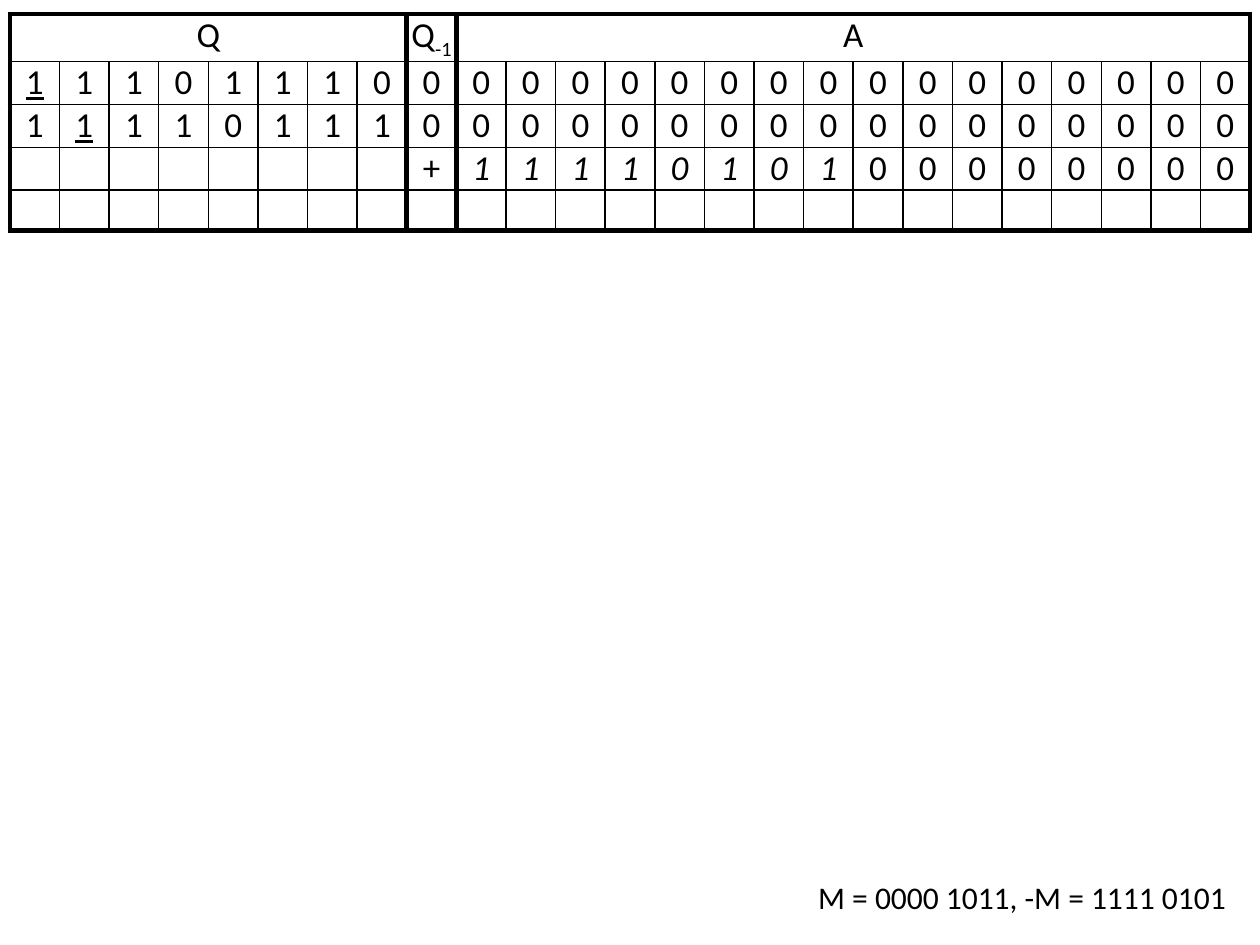
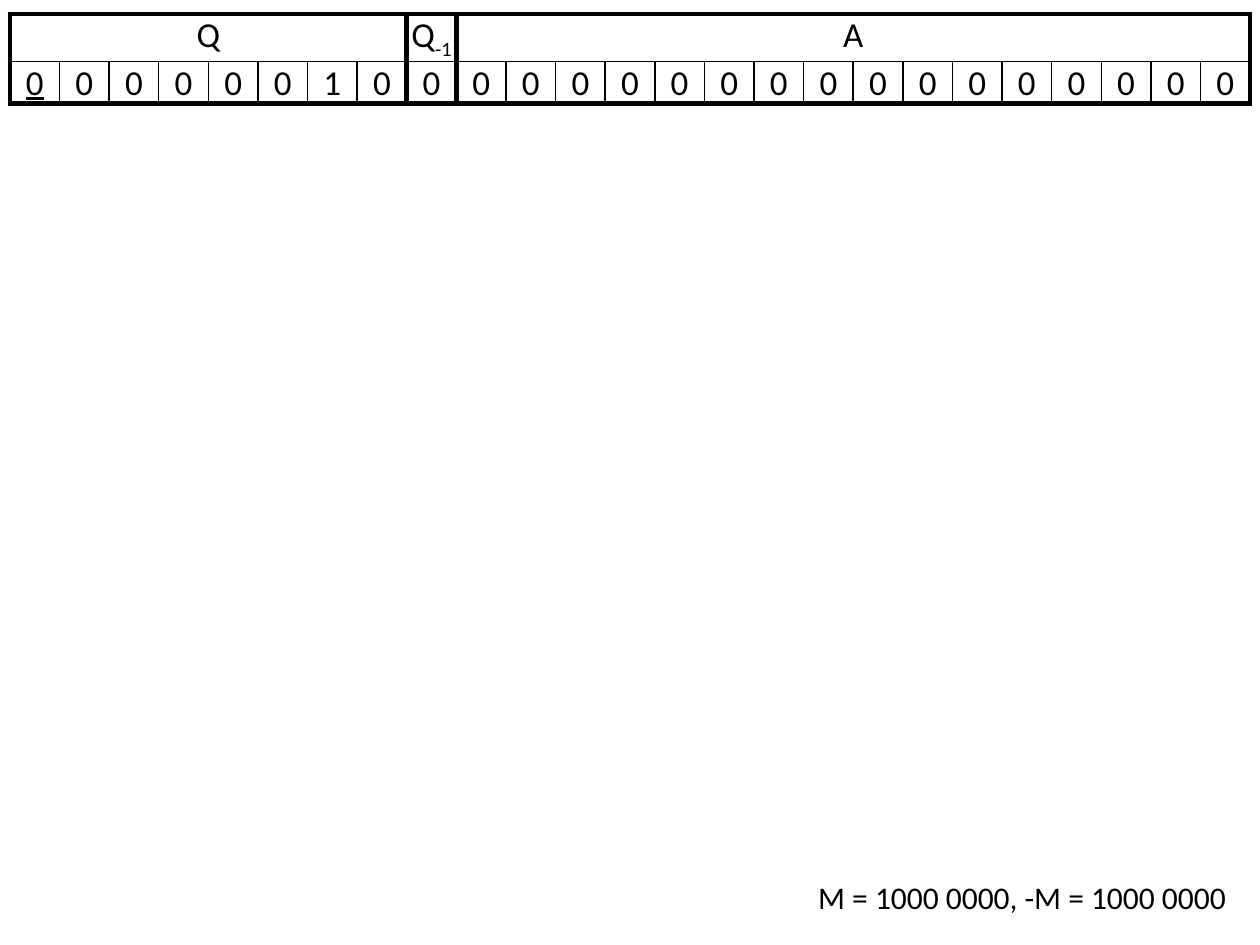
from lxml.etree import SubElement
from pptx import Presentation
from pptx.dml.color import RGBColor
from pptx.enum.text import MSO_AUTO_SIZE as AutoSize, PP_ALIGN as Align
from pptx.oxml.ns import qn
from pptx.util import Cm, Pt

# Register layout: name, subscript, number of bits
REGISTERS = [("Q", "", 8), ("Q", "-1", 1), ("A", "", 16)]
BIT_COUNT = sum(bits for _, _, bits in REGISTERS)


def color(hex_string):
    return RGBColor.from_string(hex_string)


def add_text(paragraph, text, size=20, font="Calibri", ink="000000",
             align=Align.CENTER, underline=False, italic=False, baseline=0):
    paragraph.alignment = align
    run = paragraph.add_run()
    run.text = text
    run.font.name, run.font.size = font, Pt(size)
    run.font.color.rgb = color(ink)
    run.font.bold, run.font.italic, run.font.underline = False, italic, underline
    if baseline:
        run.font._element.set("baseline", str(baseline * 1000))


class Deck:
    ink = "000000"
    thin, thick = 1, 3
    left, top = 0.2, 0.28
    column_width, row_height = 1, 0.81
    frame_row_height = 0.85

    def __init__(self):
        self.presentation = Presentation()
        self.presentation.slide_width = Cm(25.4)
        self.presentation.slide_height = Cm(19.05)
        self.slide = None

    def new_slide(self):
        self.slide = self.presentation.slides.add_slide(
            self.presentation.slide_layouts[6])

    def style_cell(self, cell, left, right, top, bottom):
        """Clear the fill and margins, then draw the four borders."""
        cell.margin_left = cell.margin_right = 0
        cell.margin_top = cell.margin_bottom = 0
        cell.fill.background()
        properties = cell._tc.get_or_add_tcPr()
        widths = {"lnL": left, "lnR": right, "lnT": top, "lnB": bottom}
        for position, (tag, width) in enumerate(widths.items()):
            line = SubElement(properties, qn(f"a:{tag}"), w=str(Pt(width)))
            fill = SubElement(line, qn("a:solidFill"))
            SubElement(fill, qn("a:srgbClr"), val=self.ink)
            properties.insert(position, line)

    def register_table(self, steps):
        """Each step is its bits, the underlined columns and the italic columns."""
        row_count = len(steps) + 1
        table = self.slide.shapes.add_table(
            row_count, BIT_COUNT, Cm(self.left), Cm(self.top),
            Cm(self.column_width * BIT_COUNT),
            Cm(self.frame_row_height * row_count)).table
        table.first_row = table.horz_banding = False
        for column in table.columns:
            column.width = Cm(self.column_width)
        for row in table.rows:
            row.height = Cm(self.row_height)

        # Header cells and borders: thick around each register
        start = 0
        for name, subscript, bits in REGISTERS:
            end = start + bits - 1
            for row in range(row_count):
                for column in range(start, end + 1):
                    header = row == 0
                    self.style_cell(
                        table.cell(row, column),
                        self.thick if header or column == start else self.thin,
                        self.thick if header or column == end else self.thin,
                        self.thick if header else self.thin,
                        self.thick if row == row_count - 1 else self.thin)
            if bits > 1:
                table.cell(0, start).merge(table.cell(0, end))
            paragraph = table.cell(0, start).text_frame.paragraphs[0]
            add_text(paragraph, name)
            if subscript:
                add_text(paragraph, subscript, baseline=-25)
            start = end + 1

        # Bits, one per cell
        for row, (bits, underlined, italics) in enumerate(steps, 1):
            for column, bit in enumerate(bits):
                if bit != " ":
                    add_text(table.cell(row, column).text_frame.paragraphs[0], bit,
                             underline=column in underlined,
                             italic=column in italics)

    def multiplicand_note(self, text):
        box = self.slide.shapes.add_textbox(Cm(15.24), Cm(17.58), Cm(9.73), Cm(1.02))
        box.text_frame.word_wrap = True
        box.text_frame.auto_size = AutoSize.SHAPE_TO_FIT_TEXT
        add_text(box.text_frame.paragraphs[0], text, size=18, align=Align.RIGHT)


deck = Deck()
zeros = "0" * 16

# Slide 1: shifting and adding
deck.new_slide()
deck.register_table([
    ("11101110" + "0" + zeros, [0], []),
    ("11110111" + "0" + zeros, [1], []),
    (" " * 8 + "+" + "11110101" + "00000000", [], range(9, 17)),
    ("", [], []),
])
deck.multiplicand_note("M = 0000 1011, -M = 1111 0101")

# Slide 2: starting state
deck.new_slide()
deck.register_table([("00000010" + "0" + zeros, [0], [])])
deck.multiplicand_note("M = 1000 0000, -M = 1000 0000")

deck.presentation.save("out.pptx")
